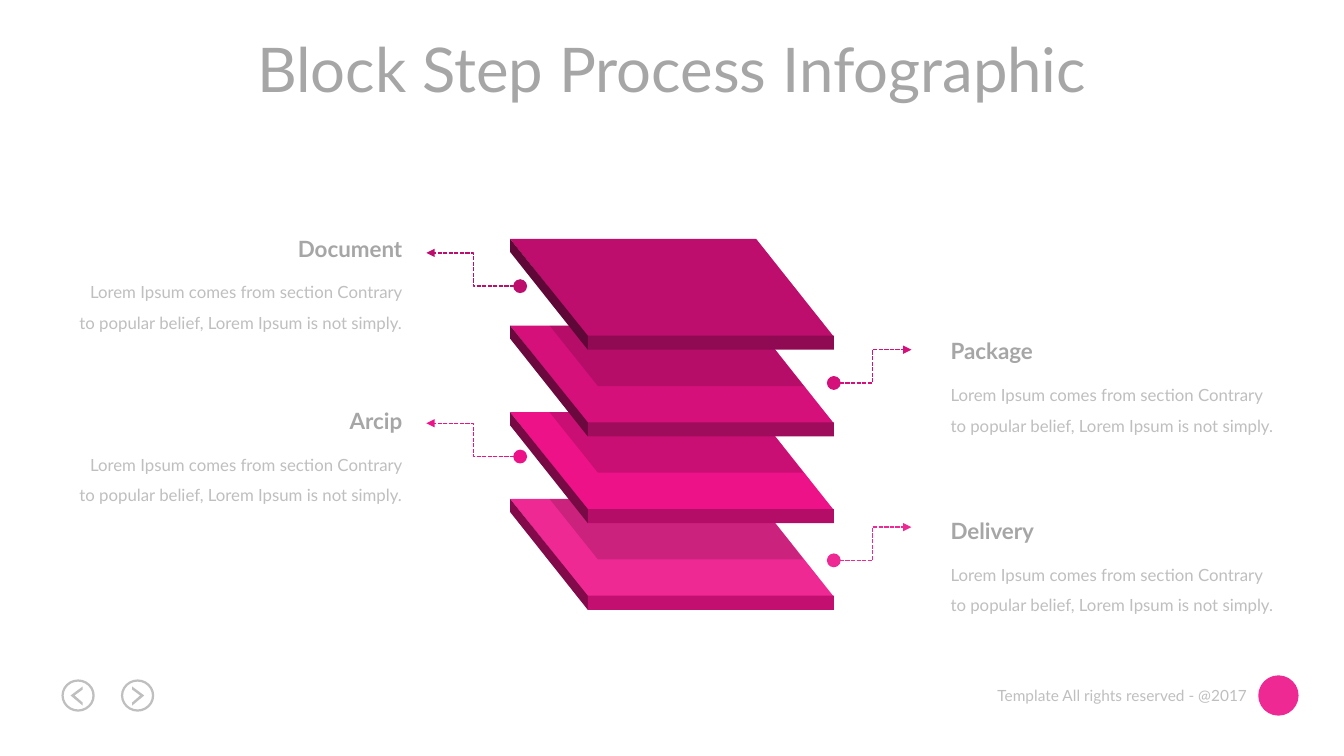
"""Build the block step process slide with stacked slabs and four callouts."""
from lxml.etree import SubElement
from pptx import Presentation
from pptx.dml.color import RGBColor as Rgb
from pptx.enum.dml import MSO_LINE as Dash
from pptx.enum.shapes import MSO_CONNECTOR as Link, MSO_SHAPE as Kind
from pptx.enum.text import MSO_ANCHOR as Anchor, MSO_AUTO_SIZE as Fit, PP_ALIGN as Align
from pptx.oxml.ns import qn
from pptx.util import Inches, Pt

TITLE = "Block Step Process Infographic"
FOOTER = "Template All rights reserved - @2017"
BODY = "Lorem Ipsum comes from section Contrary to popular belief, Lorem Ipsum is not simply."
HUES = {"head": "A6A6A6", "soft": "BFBFBF", "logo": "EF2994", "shade": "000000"}
SLABS = [
    {"top": "BE0E6D", "side": "5F0737", "front": "8F0A52"},
    {"top": "D6107B", "side": "6B083E", "front": "A00C5C"},
    {"top": "EE1289", "side": "770945", "front": "B30D67"},
    {"top": "EF2994", "side": "820A4B", "front": "C30F70"},
]
NOTES = [
    ("Document", "left", 2.28, 2.84, 0),
    ("Package", "right", 3.3, 3.8, 1),
    ("Arcip", "left", 3.99, 4.53, 2),
    ("Delivery", "right", 5.08, 5.56, 3),
]
SIDES = {
    "left": {"box": 0.66, "dot": 5.16, "tip": 4.23, "align": Align.RIGHT},
    "right": {"box": 9.33, "dot": 8.27, "tip": 9.04, "align": Align.LEFT},
}
ARROWS = [(0.77, 1), (1.36, -1)]
TOP, STEP, RISE = 2.37, 0.86, 0.33
FACE = [(5.83, 0.97), (8.27, 0.97), (7.5, 0), (5.06, 0)]
EDGE = [(5.06, 0), (5.06, 0.13), (5.83, 1.1), (5.83, 0.96)]
SHADE = [(5.93, 0.6), (7.97, 0.6), (7.5, 0), (5.45, 0)]
MARK = [(0.05, -0.06), (-0.03, 0), (0.05, 0.07), (0.05, 0.1), (-0.07, 0), (0.05, -0.09)]
STYLES = {
    "title": {"size": Pt(44), "bold": False},
    "head": {"size": Pt(16), "bold": True},
    "body": {"size": Pt(12), "bold": False},
    "foot": {"size": Pt(11), "bold": False},
}


def paint(shape, hue):
    """Give a shape a plain fill with no line or shadow."""
    shape.shadow.inherit = False
    shape.fill.solid()
    shape.fill.fore_color.rgb = Rgb.from_string(hue)
    shape.line.fill.background()
    return shape


def add_form(slide, kind, box, hue):
    """Add a painted preset shape."""
    return paint(slide.shapes.add_shape(kind, *map(Inches, box)), hue)


def add_poly(slide, dots, hue):
    """Add a painted closed outline."""
    pts = [(Inches(x), Inches(y)) for x, y in dots]
    form = slide.shapes.build_freeform(*pts[0])
    form.add_line_segments(pts[1:], close=True)
    return paint(form.convert_to_shape(), hue)


def write(frame, text, style, hue, align, wrap=False, space=1.0):
    """Fill a text frame with one formatted paragraph."""
    for key, val in {"word_wrap": wrap, "auto_size": Fit.NONE,
                     "vertical_anchor": Anchor.TOP}.items():
        setattr(frame, key, val)
    para = frame.paragraphs[0]
    para.alignment, para.line_spacing = align, space
    run = para.add_run()
    run.text = text
    for key, val in {"name": "Lato", **STYLES[style]}.items():
        setattr(run.font, key, val)
    run.font.color.rgb = Rgb.from_string(HUES[hue])


def add_text(slide, box, *args, **opts):
    """Add a text box."""
    write(slide.shapes.add_textbox(*map(Inches, box)).text_frame, *args, **opts)


def add_slab(slide, num):
    """Draw one slab, shaded when another lies above it."""
    top, hues = TOP + STEP * num, SLABS[num]
    parts = [(FACE, hues["top"]), (EDGE, hues["side"])]
    for dots, hue in parts:
        add_poly(slide, [(x, top + y) for x, y in dots], hue)
    add_form(slide, Kind.RECTANGLE, (5.83, top + 0.96, 2.44, 0.14), hues["front"])
    if num:
        shade = add_poly(slide, [(x, top + y) for x, y in SHADE], HUES["shade"])
        tint = next(shade.fill._xPr.iter(qn("a:srgbClr")))
        SubElement(tint, qn("a:alpha"), val="15000")


def add_note(slide, name, side, top, dot, num):
    """Draw one callout with its dashed connector."""
    spot = SIDES[side]
    ends = (spot["dot"], dot, spot["tip"], dot - RISE)
    link = slide.shapes.add_connector(Link.ELBOW, *map(Inches, ends))
    link.line.color.rgb = Rgb.from_string(SLABS[num]["top"])
    for key, val in {"width": Pt(1), "dash_style": Dash.SQUARE_DOT}.items():
        setattr(link.line, key, val)
    ln = link.get_or_add_ln()
    SubElement(ln, qn("a:headEnd"), type="oval", w="lg", len="lg")
    SubElement(ln, qn("a:tailEnd"), type="triangle")
    SubElement(link._element.spPr, qn("a:effectLst"))
    box, align = spot["box"], spot["align"]
    add_text(slide, (box, top + 0.37, 3.43, 1.01), BODY, "body", "soft", align,
             wrap=True, space=1.5)
    add_text(slide, (box, top, 3.43, 0.37), name, "head", "head", align)


def main():
    """Build and save the slide."""
    deck = Presentation()
    deck.slide_width, deck.slide_height = Inches(13.33), Inches(7.5)
    slide = deck.slides.add_slide(deck.slide_layouts[5])
    title = slide.shapes.title
    for key, val in zip(("left", "top", "width", "height"), (2.11, 0.26, 9.11, 0.84)):
        setattr(title, key, Inches(val))
    write(title.text_frame, TITLE, "title", "head", Align.CENTER)
    add_text(slide, (9.74, 6.76, 2.73, 0.29), FOOTER, "foot", "soft", Align.RIGHT)
    for mid, way in ARROWS:
        ring = add_form(slide, Kind.DONUT, (mid - 0.16, 6.74, 0.33, 0.32), HUES["soft"])
        ring.adjustments[0] = 0.07
        add_poly(slide, [(mid + way * x, 6.9 + y) for x, y in MARK], HUES["soft"])
    add_form(slide, Kind.OVAL, (12.48, 6.7, 0.4, 0.4), HUES["logo"])
    for num in reversed(range(len(SLABS))):
        add_slab(slide, num)
    for note in NOTES:
        add_note(slide, *note)
    deck.save("out.pptx")


if __name__ == "__main__":
    main()
